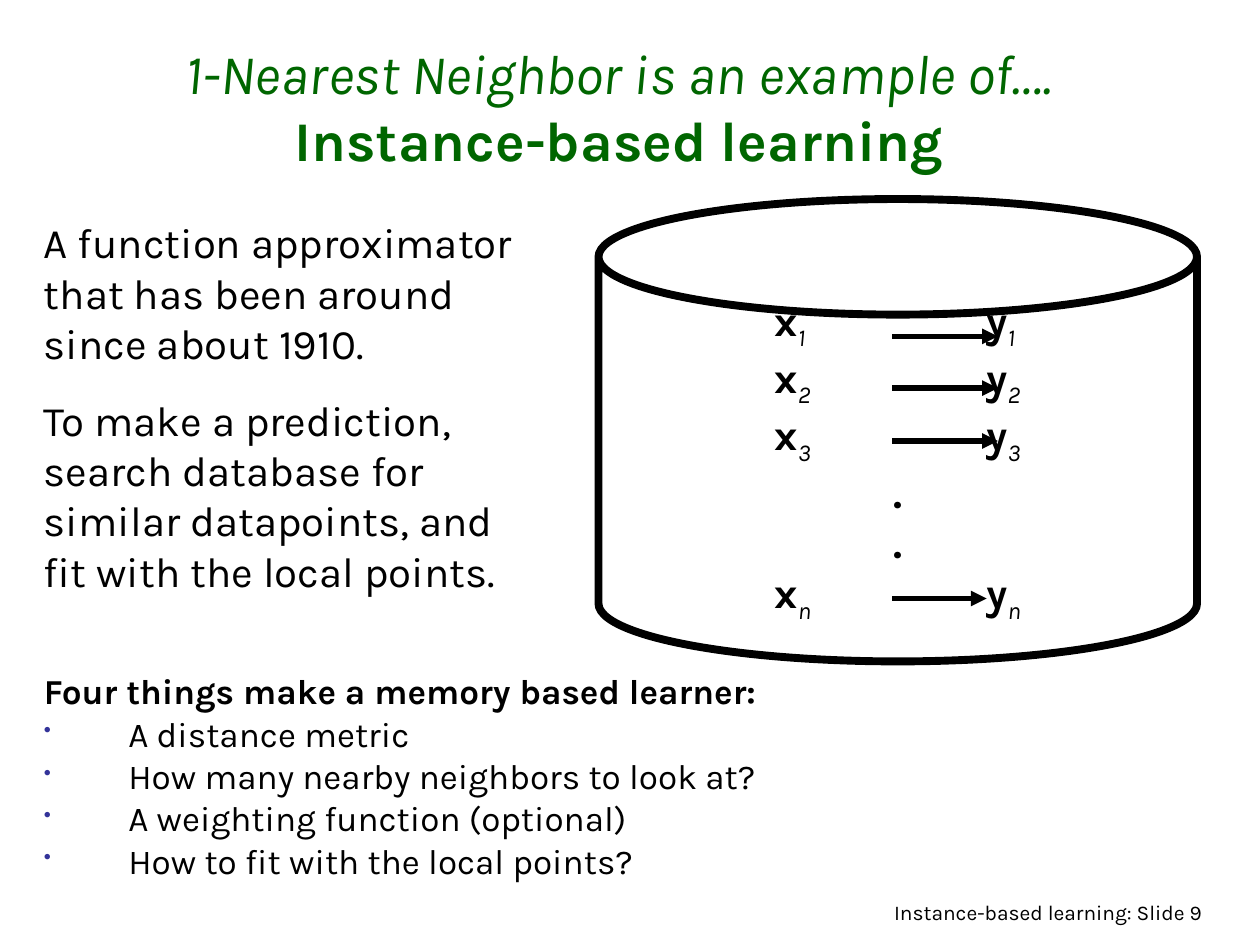
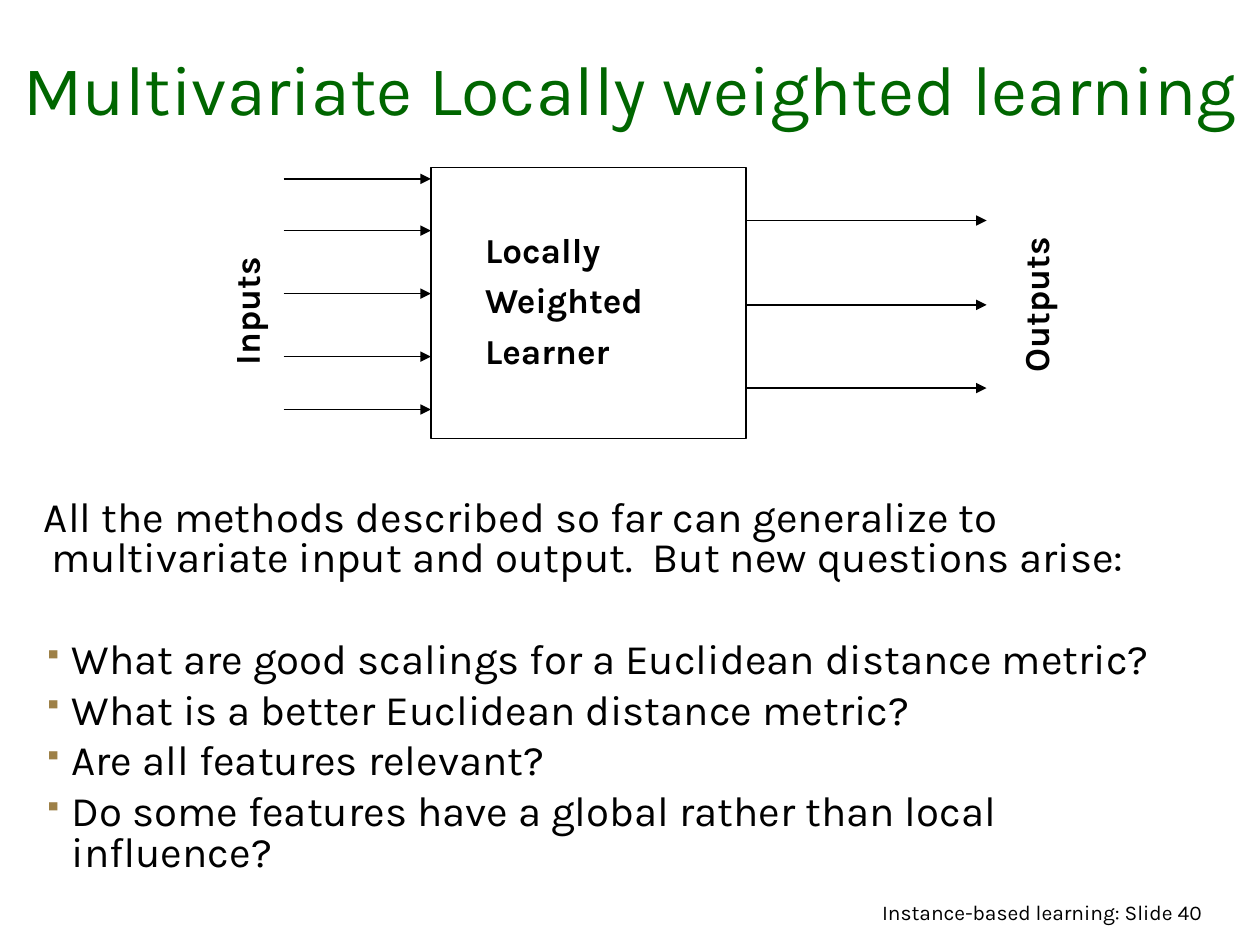
from lxml.etree import SubElement
from pptx import Presentation
from pptx.dml.color import RGBColor
from pptx.enum.shapes import MSO_CONNECTOR, MSO_SHAPE
from pptx.enum.text import MSO_ANCHOR as Anchor, PP_ALIGN as Align
from pptx.oxml.ns import qn
from pptx.util import Inches, Pt

BLACK = RGBColor(0x00, 0x00, 0x00)
TITLE_GREEN = RGBColor(0x00, 0x66, 0x00)
BULLET_BLUE = RGBColor(0x33, 0x33, 0x99)
BULLET_TAN = RGBColor(0x9D, 0x80, 0x47)
FONT = "Karla"
BOLD = {"bold": True}
ITALIC = {"italic": True}

# Text is a list of paragraphs; a paragraph is a string or a list of (text, format) runs.
INSTANCE_TITLE = [[("1-Nearest Neighbor is an example of….", ITALIC), ("\n", {}),
                   ("Instance-based learning", BOLD)]]
HISTORY = [
    "A function approximator that has been around since about 1910.",
    "To make a prediction, search database for similar datapoints, and fit with the local points.",
]
LEARNER_HEADING = "Four things make a memory based learner:"
LEARNER_PARTS = [
    "A distance metric",
    "How many nearby neighbors to look at?",
    "A weighting function (optional)",
    "How to fit with the local points?",
]
DATAPOINTS = ["1", "2", "3", None, None, "n"]  # None shows a dot
DATAPOINT_ARROWS = [(2.67, 7.92), (3.08, 7.92), (3.5, 7.92), (4.75, 7.83)]  # y, right end
DATAPOINT_TABS = [1.3, 2.98]

MULTIVARIATE_TITLE = ["Multivariate Locally weighted learning"]
GENERALIZE = ("All the methods described so far can generalize to multivariate input and output.  "
              "But new questions arise:")
QUESTIONS = [
    "What are good scalings for a Euclidean distance metric?",
    "What is a better Euclidean distance metric?",
    "Are all features relevant?",
    "Do some features have a global rather than local influence?",
]
LEARNER_BOX = ["Locally", "Weighted", "Learner"]
INPUT_ROWS = [1.42, 1.83, 2.33, 2.83, 3.25]
OUTPUT_ROWS = [1.75, 2.42, 3.08]
SIDE_LABELS = [("Inputs", (0.58, 2.25, 2.75, 0.44)), ("Outputs", (6.97, 2.2, 2.5, 0.44))]


def set_indent(paragraph, left, first):
    properties = paragraph._p.get_or_add_pPr()
    properties.set("marL", str(Inches(left)))
    properties.set("indent", str(Inches(first)))
    return properties


def add_bullet(paragraph, character, color, indent):
    properties = set_indent(paragraph, indent, -indent)
    SubElement(SubElement(properties, qn("a:buClr")), qn("a:srgbClr"), val=str(color))
    SubElement(properties, qn("a:buSzPct"), val="60000")
    SubElement(properties, qn("a:buChar"), char=character)


def add_tabs(paragraph, stops):
    tab_list = SubElement(paragraph._p.get_or_add_pPr(), qn("a:tabLst"))
    for stop in stops:
        SubElement(tab_list, qn("a:tab"), pos=str(Inches(stop)), algn="l")


def write_text(shape, paragraphs, size, color=BLACK, align=Align.LEFT, anchor=Anchor.TOP,
               space=0, line_spacing=None, **font_format):
    frame = shape.text_frame
    frame.word_wrap = True
    frame.vertical_anchor = anchor
    for index, runs in enumerate(paragraphs):
        paragraph = frame.paragraphs[0] if index == 0 else frame.add_paragraph()
        paragraph.alignment = align
        paragraph.space_before = Pt(space if index else 0)
        if line_spacing:
            paragraph.line_spacing = line_spacing
        for text, run_format in [(runs, {})] if isinstance(runs, str) else runs:
            if text == "\n":
                paragraph.add_line_break()
                continue
            run = paragraph.add_run()
            run.text = text
            run.font.color.rgb = color
            values = {"name": FONT, "size": Pt(size), **font_format, **run_format}
            if values.pop("subscript", False):
                run._r.get_or_add_rPr().set("baseline", "-25000")
            for name, value in values.items():
                setattr(run.font, name, value)
    return frame


def add_text(slide, place, paragraphs, size, **options):
    box = slide.shapes.add_textbox(*map(Inches, place))
    write_text(box, paragraphs, size, **options)
    return box


def add_outline(slide, kind, place, width):
    shape = slide.shapes.add_shape(kind, *map(Inches, place))
    shape.shadow.inherit = False
    shape.fill.background()
    shape.line.color.rgb = BLACK
    shape.line.width = Pt(width)
    return shape


def add_arrow(slide, left, right, y, width):
    arrow = slide.shapes.add_connector(
        MSO_CONNECTOR.STRAIGHT, Inches(left), Inches(y), Inches(right), Inches(y))
    arrow.line.color.rgb = BLACK
    arrow.line.width = Pt(width)
    SubElement(arrow.line._get_or_add_ln(), qn("a:tailEnd"), type="triangle")
    SubElement(arrow._element.spPr, qn("a:effectLst"))


def start_slide(presentation, number, title, title_place, title_size):
    slide = presentation.slides.add_slide(presentation.slide_layouts[6])
    add_text(slide, (5.72, 7.09, 3.92, 0.33), [f"Instance-based learning: Slide {number}"], 12,
             align=Align.RIGHT)
    add_text(slide, title_place, title, title_size, color=TITLE_GREEN, align=Align.CENTER,
             anchor=Anchor.BOTTOM)
    return slide


def datapoint_runs(index):
    if index is None:
        return [(".", BOLD)]
    subscript = (index, {"italic": True, "subscript": True})
    return [("\tx", BOLD), subscript, ("\ty", BOLD), subscript]


def build_instance_slide(presentation):
    slide = start_slide(presentation, 9, INSTANCE_TITLE, (0.25, 0.25, 9.33, 1.17), 32)

    body = add_text(slide, (0.25, 5.33, 9.38, 1.75), [[(LEARNER_HEADING, BOLD)], *LEARNER_PARTS],
                    20, space=5, line_spacing=0.8)
    for paragraph in body.text_frame.paragraphs[1:]:
        add_bullet(paragraph, "•", BULLET_BLUE, 0.67)

    database = add_outline(slide, MSO_SHAPE.CAN, (4.75, 1.58, 4.75, 3.67), 4.5)
    database.adjustments[0] = 0.25
    frame = write_text(database, [datapoint_runs(index) for index in DATAPOINTS], 24,
                       anchor=Anchor.MIDDLE)
    for index, paragraph in zip(DATAPOINTS, frame.paragraphs):
        if index is None:
            paragraph.alignment = Align.CENTER
        else:
            add_tabs(paragraph, DATAPOINT_TABS)
    for y, right in DATAPOINT_ARROWS:
        add_arrow(slide, 7.08, right, y, 3)

    add_text(slide, (0.25, 1.67, 4.08, 3.11), HISTORY, 24, space=15)


def build_multivariate_slide(presentation):
    slide = start_slide(presentation, 40, MULTIVARIATE_TITLE, (0, 0.25, 10, 0.83), 40)

    body = add_text(slide, (0.25, 3.92, 9.38, 3.17), [GENERALIZE, *QUESTIONS], 24,
                    space=6, line_spacing=0.8)
    introduction, *questions = body.text_frame.paragraphs
    set_indent(introduction, 0.06, -0.06)
    for paragraph in questions:
        add_bullet(paragraph, "▪", BULLET_TAN, 0.22)
    questions[0].space_before = Pt(35)

    for label, place in SIDE_LABELS:
        add_text(slide, place, [label], 20, align=Align.CENTER, bold=True).rotation = 270

    learner = add_outline(slide, MSO_SHAPE.RECTANGLE, (3.42, 1.33, 2.5, 2.15), 1)
    frame = write_text(learner, LEARNER_BOX, 20, space=5, bold=True)
    frame.margin_left, frame.margin_top = Inches(0.43), Inches(0.48)
    for y in INPUT_ROWS:
        add_arrow(slide, 2.25, 3.42, y, 0.75)
    for y in OUTPUT_ROWS:
        add_arrow(slide, 5.92, 7.83, y, 0.75)


def main():
    presentation = Presentation()
    presentation.slide_width, presentation.slide_height = Inches(10), Inches(7.5)
    build_instance_slide(presentation)
    build_multivariate_slide(presentation)
    presentation.save("out.pptx")


if __name__ == "__main__":
    main()
